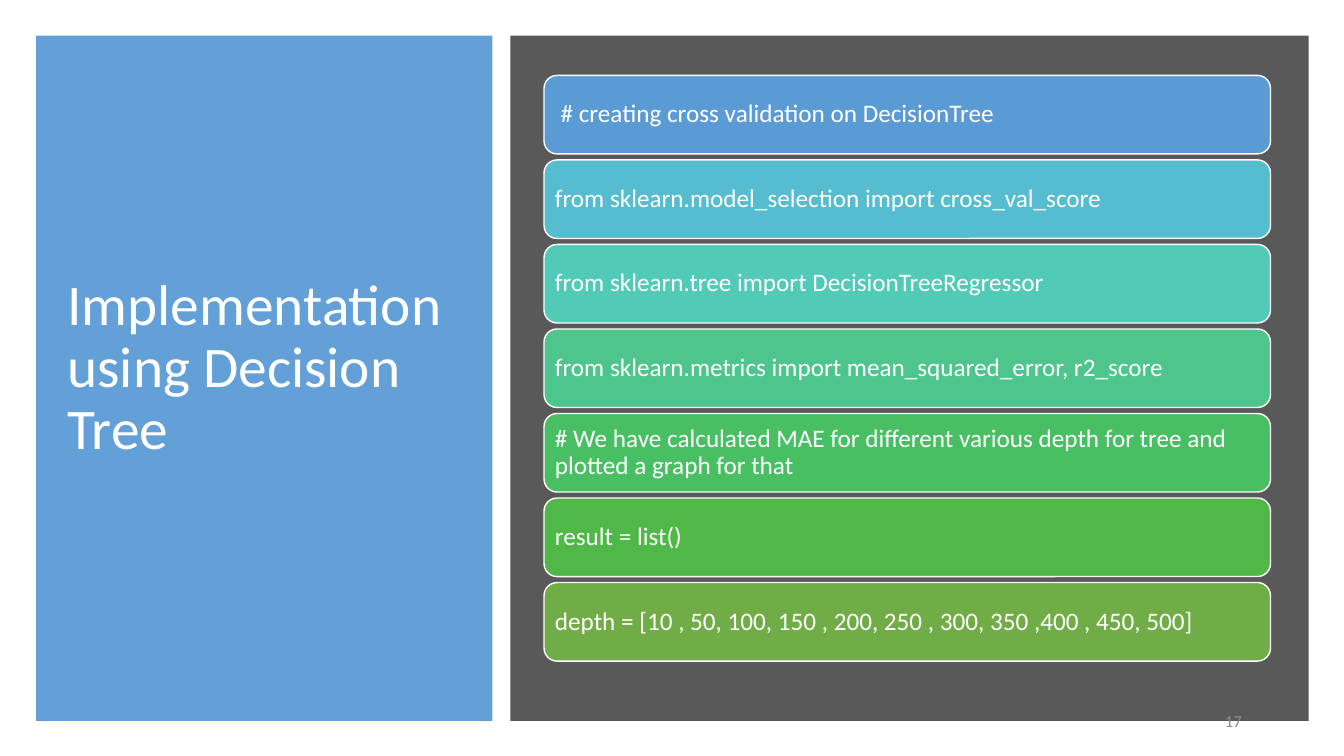
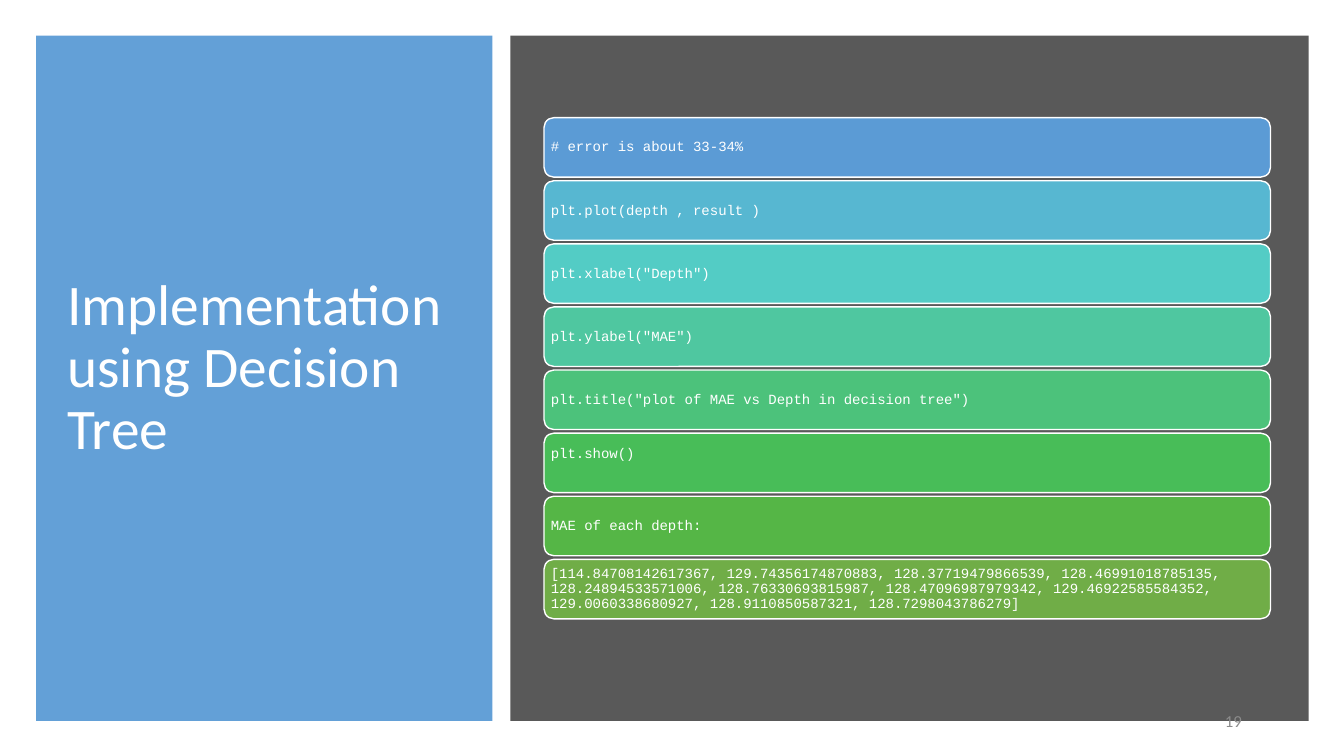
from lxml.etree import SubElement
from pptx import Presentation
from pptx.dml.color import RGBColor
from pptx.enum.shapes import MSO_SHAPE
from pptx.enum.text import MSO_ANCHOR, PP_ALIGN
from pptx.oxml.ns import qn
from pptx.util import Cm, Pt

INK = {
    "white": "FFFFFF", "panel": "595959", "number": "8C8C8C",
    "blue": "5B9BD5", "sky": "56BCD0", "lake": "57B7D1",
    "aqua": "53CCC5", "teal": "52CAB8", "sea": "4FC7A0",
    "mint": "4DC58D", "jade": "4CC27B", "green": "49BF64",
    "fern": "48BD58", "grass": "50B846", "leaf": "55B646",
    "olive": "70AD47",
}
TITLE = "Implementation using Decision Tree"
MID = 9.28

IMPORTS = [
    ("blue", " # creating cross validation on DecisionTree"),
    ("sky", "from sklearn.model_selection import cross_val_score"),
    ("teal", "from sklearn.tree import DecisionTreeRegressor"),
    ("mint", "from sklearn.metrics import mean_squared_error, r2_score"),
    ("green", "# We have calculated MAE for different various depth for tree "
              "and plotted a graph for that"),
    ("grass", "result = list()"),
    ("olive", "depth = [10 , 50, 100, 150 , 200, 250 , 300, 350 ,400 , 450, 500]"),
]
PLOT = [
    ("blue", "# error is about 33-34%"),
    ("lake", "plt.plot(depth , result )"),
    ("aqua", 'plt.xlabel("Depth")'),
    ("sea", 'plt.ylabel("MAE")'),
    ("jade", 'plt.title("plot of MAE vs Depth in decision tree")'),
    ("fern", "plt.show()\v"),
    ("leaf", "MAE of each depth:"),
    ("olive", "[114.84708142617367, 129.74356174870883, 128.37719479866539, "
              "128.46991018785135, 128.24894533571006, 128.76330693815987, "
              "128.47096987979342, 129.46922585584352, 129.0060338680927, "
              "128.9110850587321, 128.7298043786279]"),
]


class Deck:
    """Holds the shared style and the current slide."""

    def __init__(self):
        """Start an empty wide deck."""
        self.show = Presentation()
        self.show.slide_width = Cm(33.87)
        self.show.slide_height = Cm(19.05)
        self.slide = None

    def color(self, name):
        """Return a named colour."""
        return RGBColor.from_string(INK[name])

    def block(self, kind, box, fill):
        """Draw a filled shape without outline."""
        shape = self.slide.shapes.add_shape(kind, *map(Cm, box))
        shape.shadow.inherit = False
        shape.fill.solid()
        shape.fill.fore_color.rgb = self.color(fill)
        shape.line.fill.background()
        return shape

    def letter(self, shape, text, size, font="Calibri", ink="white",
               align=PP_ALIGN.LEFT, space=0.9):
        """Set one middle-anchored paragraph in a shape."""
        frame = shape.text_frame
        frame.word_wrap = True
        frame.vertical_anchor = MSO_ANCHOR.MIDDLE
        frame.text = text
        para = frame.paragraphs[0]
        para.alignment = align
        para.line_spacing = space
        para.font.size = Pt(size)
        para.font.name = font
        para.font.color.rgb = self.color(ink)

    def label(self, box, text, size, **style):
        """Add a text box."""
        shape = self.slide.shapes.add_textbox(*map(Cm, box))
        self.letter(shape, text, size, **style)

    def page(self, title, number):
        """Open a slide with its two panels, title and number."""
        self.slide = self.show.slides.add_slide(self.show.slide_layouts[6])
        side = self.block(MSO_SHAPE.RECTANGLE, (0.91, 0.9, 11.5, 17.27), "blue")
        tint = next(side.element.spPr.iter(qn("a:srgbClr")))
        SubElement(tint, qn("a:alpha"), val="95000")
        self.block(MSO_SHAPE.RECTANGLE, (12.86, 0.9, 20.12, 17.27), "panel")
        self.label((1.45, 1.63, 10.34, 15.34), title, 41)
        self.label((23.93, 17.65, 7.62, 1.02), str(number), 12,
                   ink="number", align=PP_ALIGN.RIGHT, space=1.0)

    def stack(self, rows, high, gap, pad, size, font):
        """Stack equal rounded bars around the middle line."""
        step = high + gap
        top = MID - (len(rows) * step - gap) / 2
        for i, (fill, text) in enumerate(rows):
            bar = self.block(MSO_SHAPE.ROUNDED_RECTANGLE,
                             (13.71, top + i * step, 18.31, high), fill)
            bar.line.color.rgb = self.color("white")
            bar.line.width = Pt(1)
            frame = bar.text_frame
            frame.margin_left = frame.margin_right = Cm(pad)
            frame.margin_top = frame.margin_bottom = Cm(pad)
            self.letter(bar, text, size, font)


def main():
    """Build and save the deck."""
    deck = Deck()
    deck.page(TITLE, 17)
    deck.stack(IMPORTS, 1.98, 0.15, 0.18, 18, "Calibri")
    deck.page(TITLE, 19)
    deck.stack(PLOT, 1.5, 0.09, 0.1, 10, "Courier New")
    deck.show.save("out.pptx")


if __name__ == "__main__":
    main()
